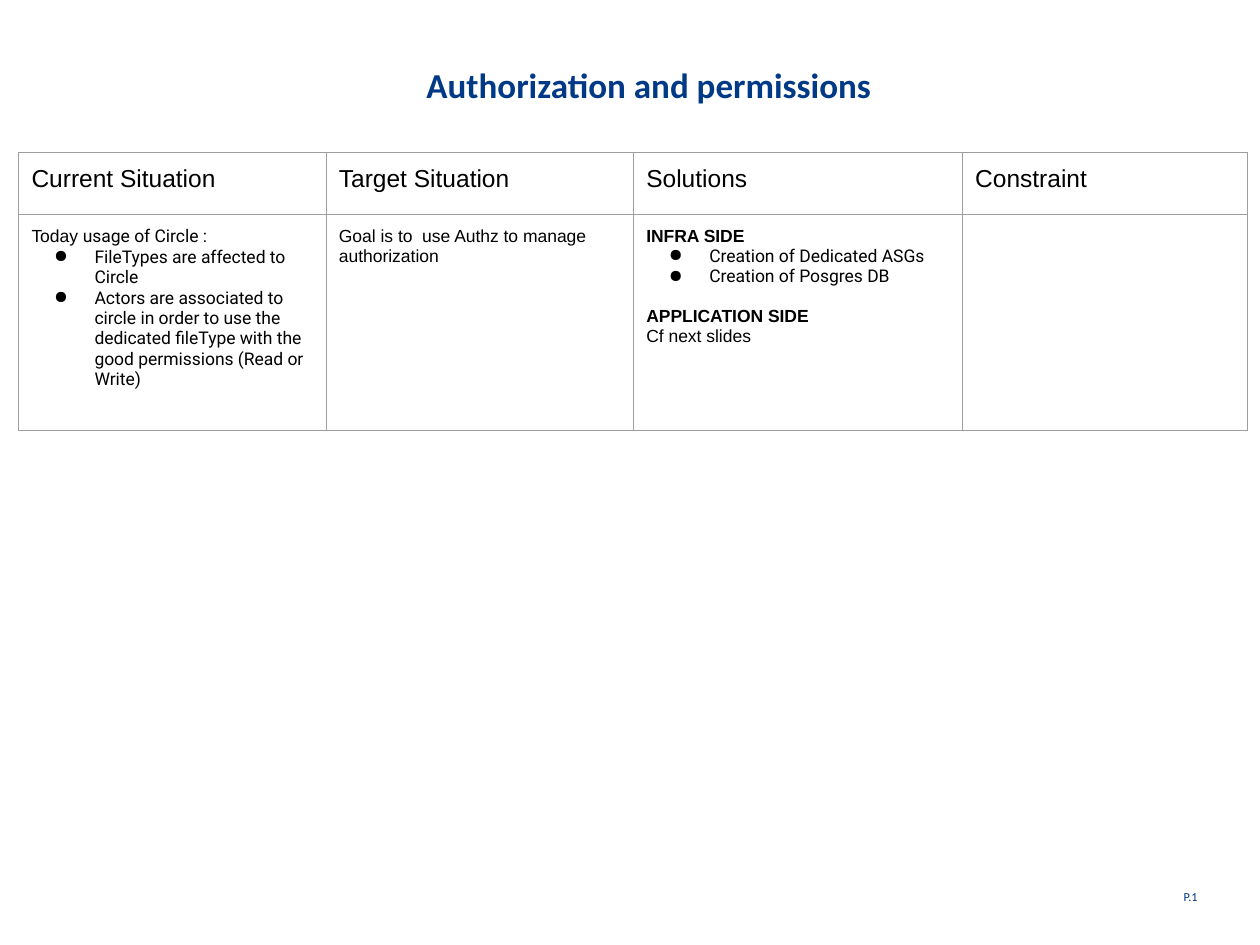
import pptx
import pptx.dml.color
import pptx.enum.text
import pptx.oxml
import pptx.oxml.ns
import pptx.util

INK, NAVY, GREY, WHITE = "000000", "003985", "9E9E9E", "FFFFFF"
HEADS = ["Current Situation", "Target Situation", "Solutions", "Constraint"]
# Each paragraph: kind of paragraph, then its runs as (text, font).
BODIES = [
    [("plain", [("Today ", "Arial"), ("usage of Circle :", "Roboto")]),
     ("bullet", [("FileTypes are affected to Circle", "Roboto")]),
     ("bullet", [("Actors are associated to circle in order to use the dedicated "
                  "fileType with the good permissions (Read or Write)", "Roboto")])],
    [("plain", [("Goal is to  use Authz to manage authorization", "Arial")])],
    [("heading", [("INFRA SIDE", "Arial")]),
     ("bullet", [("Creation of Dedicated ASGs", "Roboto")]),
     ("bullet", [("Creation of Posgres DB", "Roboto")]),
     ("heading", [("APPLICATION SIDE", "Arial")]),
     ("plain", [("Cf next slides", "Arial")])],
    [],
]


def rgb(value):
    return pptx.dml.color.RGBColor.from_string(value)


def add_xml(parent, xml):
    ns = pptx.oxml.ns.nsdecls("a")
    parent.append(pptx.oxml.parse_xml(xml.replace("/>", f" {ns}/>", 1) if xml.endswith("/>")
                                      and xml.count("<") == 1 else xml.replace(">", f" {ns}>", 1)))


class Deck:
    """Holds the presentation, its current slide and the text style."""

    def __init__(self, width, height):
        self.prs = pptx.Presentation()
        self.prs.slide_width = pptx.util.Inches(width)
        self.prs.slide_height = pptx.util.Inches(height)
        self.slide = self.prs.slides.add_slide(self.prs.slide_layouts[6])

    def box(self, x, y, w, h):
        """Turn shares of the slide's size into lengths."""
        sw, sh = self.prs.slide_width, self.prs.slide_height
        return [pptx.util.Emu(round(v)) for v in (x * sw, y * sh, w * sw, h * sh)]

    def style(self, p, size, font, color=INK, bold=False):
        p.font.size, p.font.name, p.font.bold = pptx.util.Pt(size), font, bold
        p.font.color.rgb = rgb(color)

    def label(self, text, box, size, bold=False, spacing=1.0):
        tf = self.slide.shapes.add_textbox(*self.box(*box)).text_frame
        tf.word_wrap = True
        tf.margin_left = tf.margin_right = tf.margin_top = tf.margin_bottom = 0
        tf.vertical_anchor = pptx.enum.text.MSO_ANCHOR.MIDDLE
        p = tf.paragraphs[0]
        p.text, p.line_spacing = text, spacing
        p.alignment = pptx.enum.text.PP_ALIGN.CENTER
        self.style(p, size, "Calibri", NAVY, bold)

    def table(self, x, y, widths, heights):
        box = self.box(x, y, sum(widths), sum(heights))
        table = self.slide.shapes.add_table(len(heights), len(widths), *box).table
        table.first_row = table.horz_banding = False
        for column, width in zip(table.columns, widths):
            column.width = self.box(0, 0, width, 0)[2]
        for row, height in zip(table.rows, heights):
            row.height = self.box(0, 0, 0, height)[3]
        for cell in table.iter_cells():
            self.frame(cell)
        return table

    def frame(self, cell):
        """Give a cell its margins, borders and fill."""
        cell.margin_left = cell.margin_right = pptx.util.Inches(0.1)
        cell.margin_top = cell.margin_bottom = pptx.util.Inches(0.1)
        for side in "LRTB":
            add_xml(cell._tc.get_or_add_tcPr(),
                    f'<a:ln{side} w="{pptx.util.Pt(0.75)}"><a:solidFill>'
                    f'<a:srgbClr val="{GREY}"/></a:solidFill></a:ln{side}>')
        cell.fill.solid()
        cell.fill.fore_color.rgb = rgb(WHITE)

    def head(self, cell, text):
        p = cell.text_frame.paragraphs[0]
        p.text = text
        self.style(p, 14, "Arial")

    def bullet(self, p):
        pPr = p._p.get_or_add_pPr()
        pPr.set("marL", str(pptx.util.Inches(0.5)))
        pPr.set("indent", str(pptx.util.Inches(-0.32)))
        add_xml(pPr, f'<a:buClr><a:srgbClr val="{INK}"/></a:buClr>')
        add_xml(pPr, '<a:buChar char="●"/>')

    def body(self, cell, paragraphs):
        tf = cell.text_frame
        for i, (kind, runs) in enumerate(paragraphs):
            p = tf.add_paragraph() if i else tf.paragraphs[0]
            if kind == "bullet":
                self.bullet(p)
            if kind == "heading" and i:
                p.space_before = pptx.util.Pt(11.5)
            self.style(p, 10, runs[0][1], bold=kind == "heading")
            for text, font in runs:
                r = p.add_run()
                r.text = text
                if font != runs[0][1]:
                    r.font.name = font


def main():
    width, height = 10, 7.5
    deck = Deck(width, height)
    deck.label("Authorization and permissions", (0.12, 0.28 / height, 0.79, 0.62 / height),
               20, bold=True, spacing=1.5)
    deck.label("P.1", (0.925, 7.02 / height, 0.04, 0.2 / height), 7)
    table = deck.table(0.015, 1.21 / height, [w / width for w in (2.44, 2.44, 2.61, 2.26)],
                       [h / height for h in (0.49, 1.72)])
    for column, (head, body) in enumerate(zip(HEADS, BODIES)):
        deck.head(table.cell(0, column), head)
        deck.body(table.cell(1, column), body)
    deck.prs.save("out.pptx")


if __name__ == "__main__":
    main()
